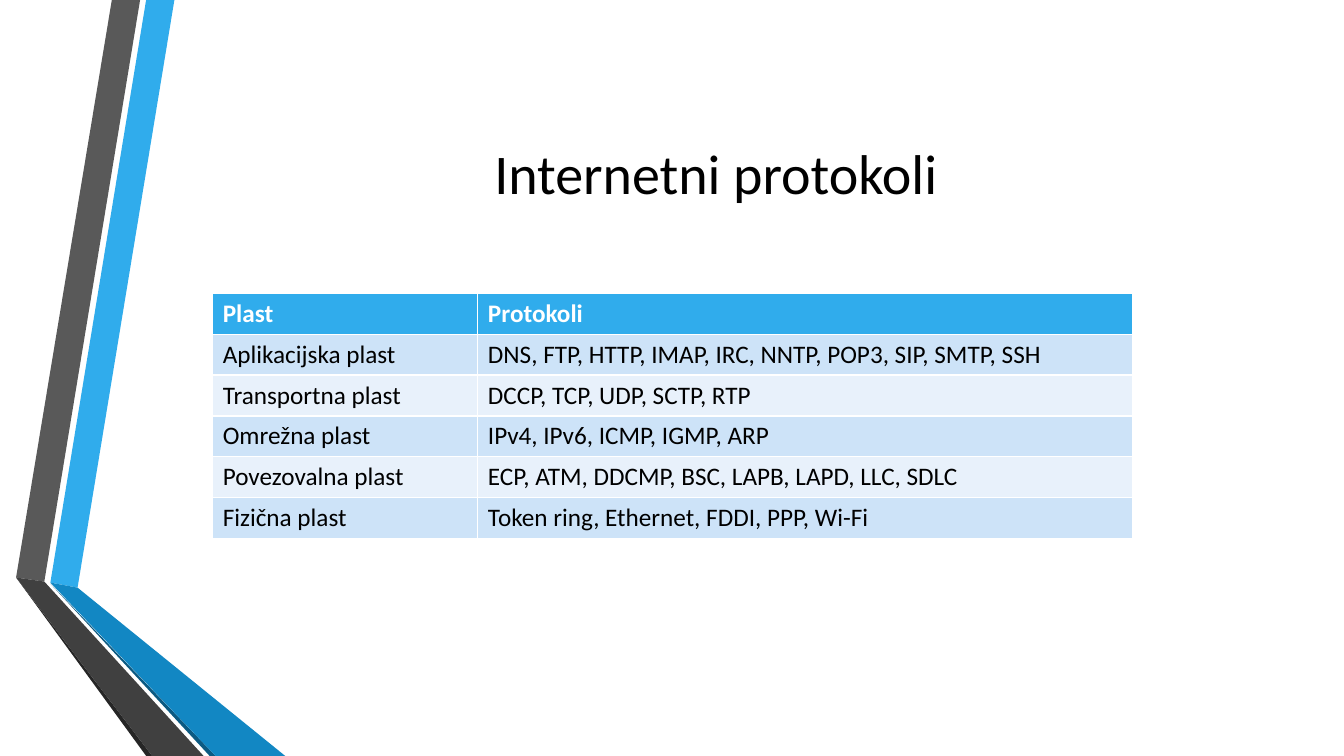
from dataclasses import dataclass

from pptx import Presentation
from pptx.dml.color import RGBColor
from pptx.enum.text import MSO_ANCHOR, PP_ALIGN
from pptx.util import Inches, Pt

MIDDLE = MSO_ANCHOR.MIDDLE
CENTER = PP_ALIGN.CENTER


@dataclass(frozen=True)
class Theme:
    font: str = "Calibri"
    title_size: int = 40
    table_size: int = 18
    text: str = "000000"
    header_text: str = "FFFFFF"
    blue: str = "30ACEC"
    blue_mid: str = "1287C3"
    blue_dark: str = "0C5A82"
    gray: str = "595959"
    gray_mid: str = "404040"
    gray_dark: str = "262626"
    bands: tuple = ("CDE3F8", "E8F1FB")


theme = Theme()


def add_run(p, text, size, color, bold=False):
    r = p.add_run()
    r.text = text
    r.font.name = theme.font
    r.font.size = Pt(size)
    r.font.bold = bold
    r.font.color.rgb = RGBColor.from_string(color)


def set_fill(target, color):
    target.fill.solid()
    target.fill.fore_color.rgb = RGBColor.from_string(color)


prs = Presentation()
prs.slide_width = Inches(13.33)
prs.slide_height = Inches(7.5)
s = prs.slides.add_slide(prs.slide_layouts.get_by_name("Title Only"))

# Folded ribbons on the left edge
ribbons = [
    (theme.blue, [(0.5, 5.78), (0.77, 5.83), (1.73, 0), (1.45, 0)]),
    (theme.gray, [(1.39, 0), (1.11, 0), (0.16, 5.73), (0.44, 5.77)]),
    (theme.gray_dark, [(0.16, 5.73), (1.45, 7.5), (1.51, 7.5)]),
    (theme.blue_dark, [(0.5, 5.79), (2.08, 7.5), (2.14, 7.5)]),
    (theme.blue_mid, [(0.5, 5.78), (2.14, 7.5), (2.83, 7.5), (0.77, 5.83)]),
    (theme.gray_mid, [(2.02, 7.5), (0.44, 5.77), (0.16, 5.73), (1.51, 7.5)]),
]
for color, corners in ribbons:
    points = [(Inches(x), Inches(y)) for x, y in corners]
    builder = s.shapes.build_freeform(*points[0])
    builder.add_line_segments(points[1:], close=True)
    sp = builder.convert_to_shape()
    sp.shadow.inherit = False
    set_fill(sp, color)
    sp.line.fill.background()

# Title
title = s.shapes.title
title.left, title.top = Inches(1.62), Inches(0.75)
title.width, title.height = Inches(10.96), Inches(1.92)
tf = title.text_frame
tf.word_wrap = True
tf.vertical_anchor = MIDDLE
p = tf.paragraphs[0]
p.alignment = CENTER
add_run(p, "Internetni protokoli", theme.title_size, theme.text)

# Table of protocols by layer
rows = [
    ("Plast", "Protokoli"),
    ("Aplikacijska plast", "DNS, FTP, HTTP, IMAP, IRC, NNTP, POP3, SIP, SMTP, SSH"),
    ("Transportna plast", "DCCP, TCP, UDP, SCTP, RTP"),
    ("Omrežna plast", "IPv4, IPv6, ICMP, IGMP, ARP"),
    ("Povezovalna plast", "ECP, ATM, DDCMP, BSC, LAPB, LAPD, LLC, SDLC"),
    ("Fizična plast", "Token ring, Ethernet, FDDI, PPP, Wi-Fi"),
]
col_widths = (2.63, 6.49)
row_height = 0.405
table = s.shapes.add_table(
    len(rows), len(col_widths), Inches(2.11), Inches(2.91),
    Inches(sum(col_widths)), Inches(row_height * len(rows))).table
for column, width in zip(table.columns, col_widths):
    column.width = Inches(width)

for i, row in enumerate(rows):
    header = i == 0
    fill = theme.blue if header else theme.bands[(i - 1) % 2]
    color = theme.header_text if header else theme.text
    for j, text in enumerate(row):
        cell = table.cell(i, j)
        set_fill(cell, fill)
        add_run(cell.text_frame.paragraphs[0], text, theme.table_size, color, header)

prs.save("out.pptx")
